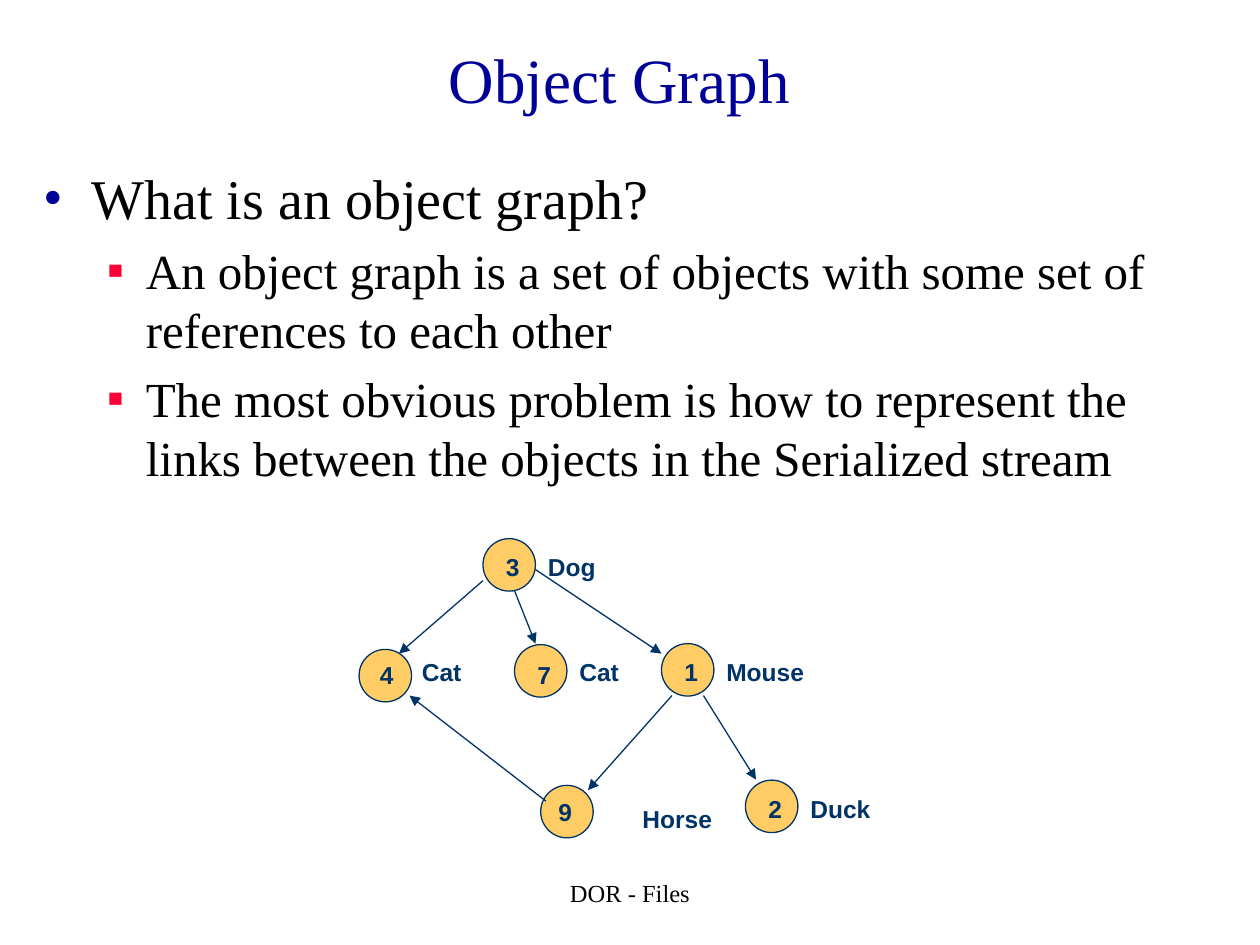
from dataclasses import dataclass

from lxml.etree import SubElement
from pptx import Presentation
from pptx.dml.color import RGBColor
from pptx.enum.shapes import MSO_CONNECTOR, MSO_SHAPE
from pptx.enum.text import MSO_ANCHOR, MSO_AUTO_SIZE, PP_ALIGN
from pptx.oxml.ns import qn
from pptx.util import Inches, Pt

COLUMNS, ROWS = 120, 90


@dataclass(frozen=True)
class Theme:
    serif: str = "Times New Roman"
    sans: str = "Arial"
    title: str = "000099"
    body: str = "000000"
    sub_bullet: str = "FF0033"
    node: str = "FFCC66"
    ink: str = "003366"
    title_size: float = 36
    point_size: float = 32
    sub_point_size: float = 28
    small_size: float = 14
    line_width: float = 0.75


class GraphSlide:
    """Draws on one slide; lengths are columns and rows of the grid."""

    node_size = 5

    def __init__(self, deck, theme):
        self.theme = theme
        self.column = deck.slide_width / COLUMNS
        self.row = deck.slide_height / ROWS
        self.slide = deck.slides.add_slide(deck.slide_layouts[5])

    def place(self, left, top, width, height):
        return (round(left * self.column), round(top * self.row),
                round(width * self.column), round(height * self.row))

    def style(self, paragraph, font, size, color, bold=False):
        for run in paragraph.runs:
            run.font.name = font
            run.font.size = Pt(size)
            run.font.bold = bold
            run.font.color.rgb = RGBColor.from_string(color)

    def title(self, words, box):
        heading = self.slide.shapes.title
        heading.left, heading.top, heading.width, heading.height = self.place(*box)
        frame = heading.text_frame
        frame.text = words
        frame.auto_size = MSO_AUTO_SIZE.NONE
        frame.vertical_anchor = MSO_ANCHOR.MIDDLE
        frame.paragraphs[0].alignment = PP_ALIGN.CENTER
        self.style(frame.paragraphs[0], self.theme.serif,
                   self.theme.title_size, self.theme.title)

    def text_box(self, words, box, wrap=False):
        frame = self.slide.shapes.add_textbox(*self.place(*box)).text_frame
        frame.text = words
        frame.word_wrap = wrap
        return frame

    def bullet(self, paragraph, mark, color, margin, hanging):
        properties = paragraph._p.get_or_add_pPr()
        properties.set("marL", str(Inches(margin)))
        properties.set("indent", str(-Inches(hanging)))
        space = SubElement(properties, qn("a:spcBef"))
        SubElement(space, qn("a:spcPct"), val="20000")
        tint = SubElement(properties, qn("a:buClr"))
        SubElement(tint, qn("a:srgbClr"), val=color)
        SubElement(properties, qn("a:buFont"), typeface=self.theme.serif)
        SubElement(properties, qn("a:buChar"), char=mark)

    def outline(self, points, box):
        """Writes (level, words) pairs as a bulleted list."""
        theme = self.theme
        frame = self.text_box("\n".join(words for _, words in points), box, wrap=True)
        levels = (
            (theme.point_size, "•", theme.title, 0.38, 0.38),
            (theme.sub_point_size, "▪", theme.sub_bullet, 0.81, 0.31),
        )
        for paragraph, (level, _) in zip(frame.paragraphs, points):
            size, *bullet = levels[level]
            paragraph.level = level
            self.bullet(paragraph, *bullet)
            self.style(paragraph, theme.serif, size, theme.body)

    def footer(self, words, box):
        frame = self.text_box(words, box)
        frame.vertical_anchor = MSO_ANCHOR.MIDDLE
        frame.paragraphs[0].alignment = PP_ALIGN.CENTER
        self.style(frame.paragraphs[0], self.theme.serif,
                   self.theme.small_size, self.theme.body)

    def node(self, left, top):
        size = self.node_size
        circle = self.slide.shapes.add_shape(
            MSO_SHAPE.OVAL, *self.place(left, top, size, size))
        circle.shadow.inherit = False
        circle.fill.solid()
        circle.fill.fore_color.rgb = RGBColor.from_string(self.theme.node)
        self.ink_line(circle.line)

    def label(self, words, left, top, width):
        frame = self.text_box(words, (left, top, width, 4))
        frame.auto_size = MSO_AUTO_SIZE.SHAPE_TO_FIT_TEXT
        self.style(frame.paragraphs[0], self.theme.sans,
                   self.theme.small_size, self.theme.ink, bold=True)

    def arrow(self, start, end):
        link = self.slide.shapes.add_connector(
            MSO_CONNECTOR.STRAIGHT, *self.place(*start, *end))
        self.ink_line(link.line)
        SubElement(link.line._get_or_add_ln(), qn("a:tailEnd"), type="triangle")
        SubElement(link._element.spPr, qn("a:effectLst"))

    def ink_line(self, line):
        line.color.rgb = RGBColor.from_string(self.theme.ink)
        line.width = Pt(self.theme.line_width)


POINTS = (
    (0, "What is an object graph?"),
    (1, "An object graph is a set of objects with some set of references to each other"),
    (1, "The most obvious problem is how to represent the links between the objects "
        "in the Serialized stream"),
)
NODES = ((46, 51.3), (34.2, 61.85), (51.5, 74.8), (63, 61.3), (71, 74.3), (49, 61.4))
NUMBERS = (("3", 47, 52), ("4", 35, 62.25), ("7", 50, 62.25),
           ("1", 64, 62), ("9", 52, 75.3), ("2", 72, 75))
NUMBER_WIDTH = 3.9
ANIMALS = (("Dog", 51, 52, 7.3), ("Cat", 39, 62, 6.5), ("Cat", 54, 62, 6.5),
           ("Mouse", 68, 62, 10.1), ("Horse", 60, 76, 9.3), ("Duck", 76, 75, 8.5))
REFERENCES = (
    ((49, 56.25), (51, 61.3)), ((46, 55.3), (38, 62.25)),
    ((51, 54.25), (63, 62.25)), ((67, 66.25), (72, 74.25)),
    ((64, 66.25), (56, 75.25)), ((52, 76.3), (39, 66.25)),
)


def main():
    deck = Presentation()
    deck.slide_width, deck.slide_height = Inches(10), Inches(7.5)
    page = GraphSlide(deck, Theme())
    page.title("Object Graph", (4, 2, 110, 11))
    page.outline(POINTS, (3, 15, 115.5, 33))
    page.footer("DOR - Files", (41, 82, 38, 6))
    for corner in NODES:
        page.node(*corner)
    for number, left, top in NUMBERS:
        page.label(number, left, top, NUMBER_WIDTH)
    for animal in ANIMALS:
        page.label(*animal)
    for start, end in REFERENCES:
        page.arrow(start, end)
    deck.save("out.pptx")


if __name__ == "__main__":
    main()
